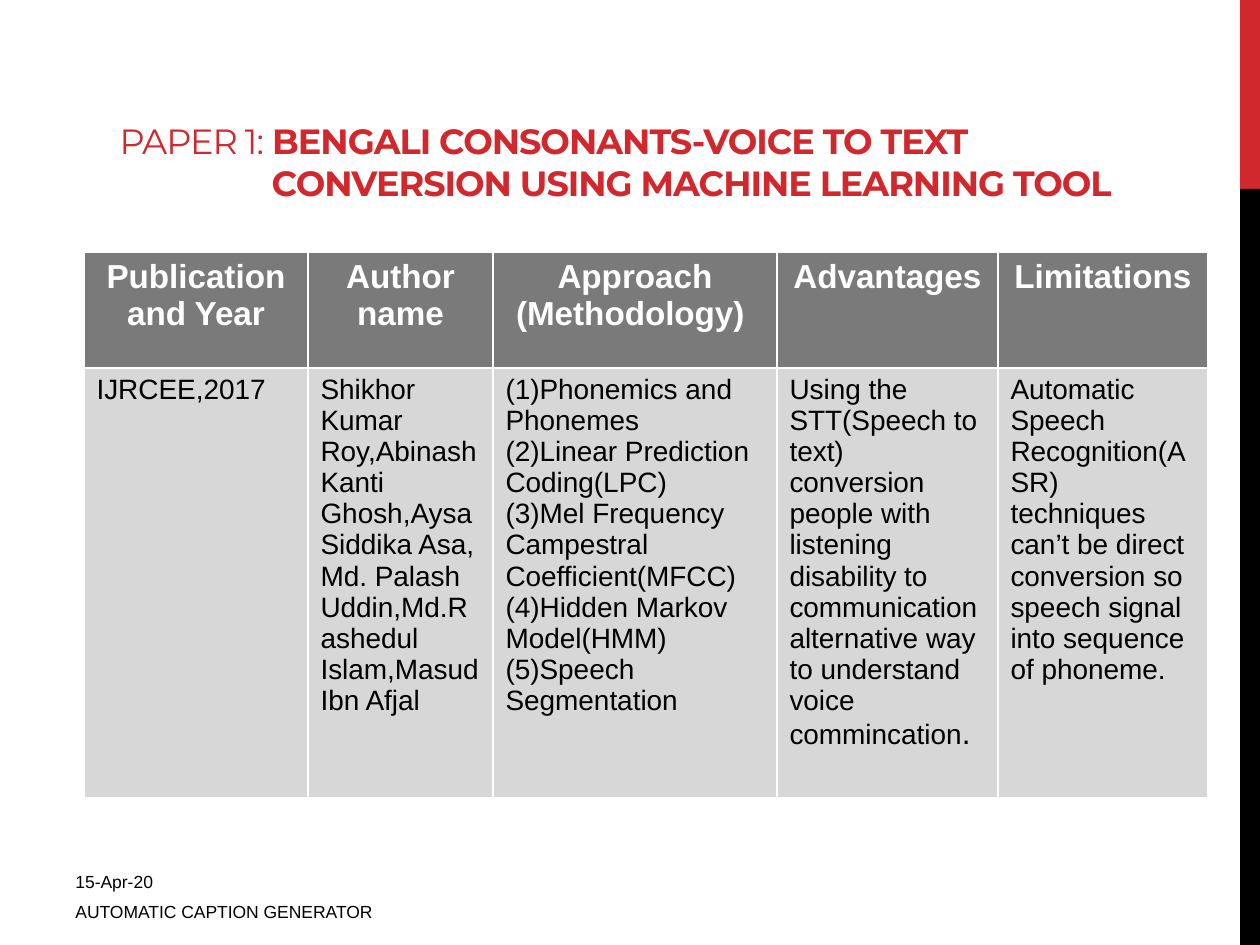
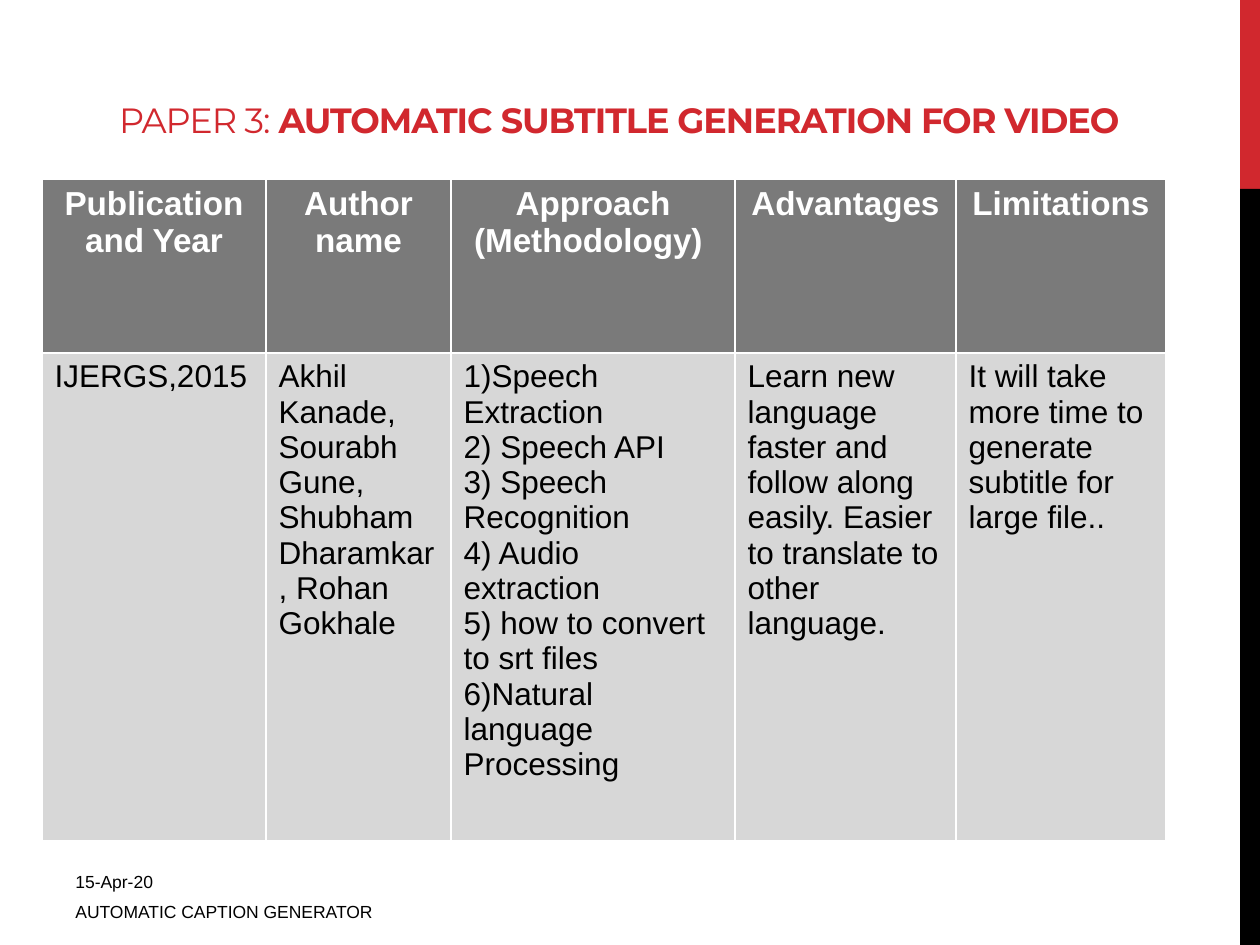
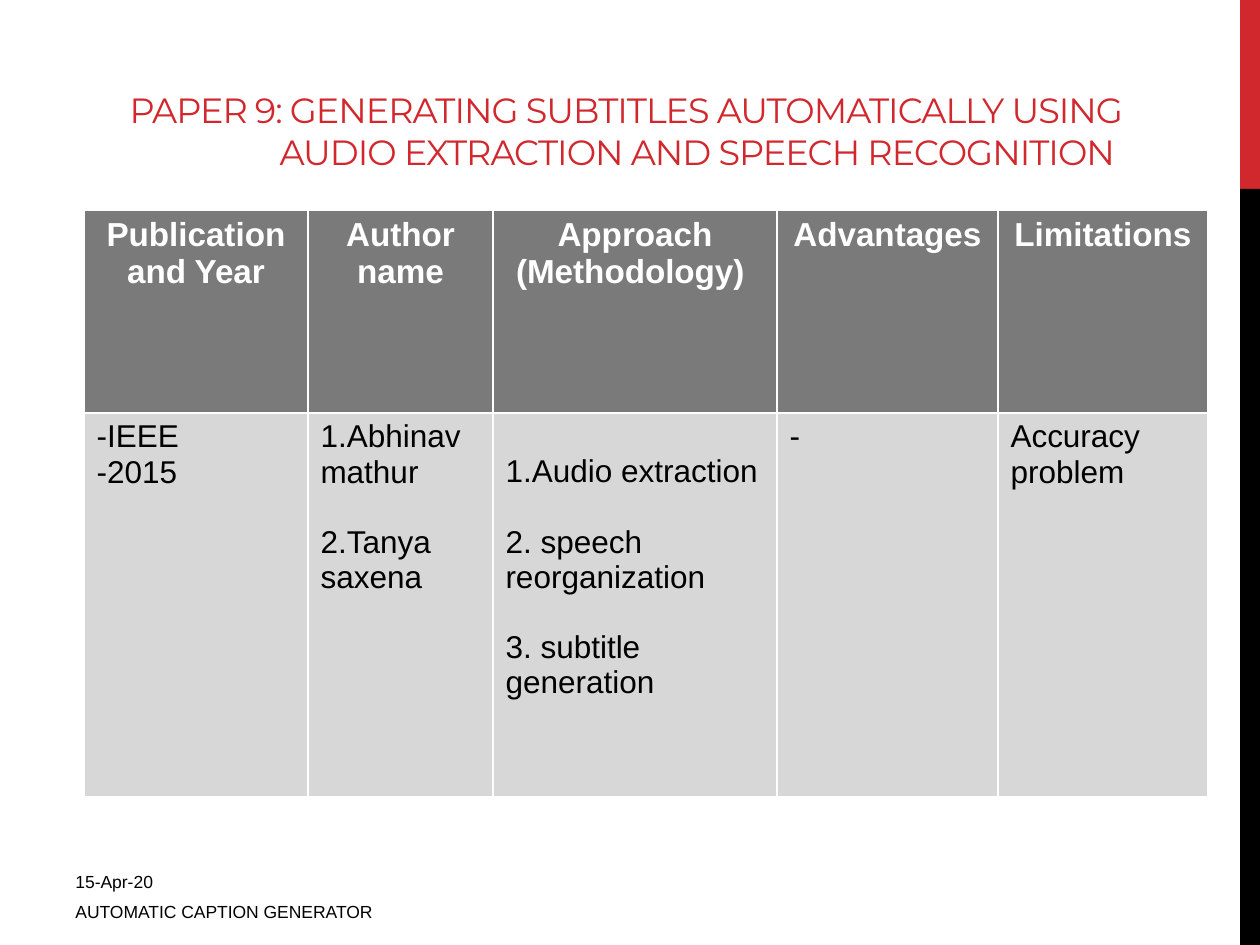
from dataclasses import dataclass

from pptx import Presentation
from pptx.dml.color import RGBColor
from pptx.enum.shapes import MSO_SHAPE
from pptx.enum.text import MSO_ANCHOR, MSO_AUTO_SIZE, PP_ALIGN
from pptx.util import Emu, Pt

RECTANGLE = MSO_SHAPE.RECTANGLE
TOP, BOTTOM = MSO_ANCHOR.TOP, MSO_ANCHOR.BOTTOM
LEFT, CENTER = PP_ALIGN.LEFT, PP_ALIGN.CENTER
NO_AUTOFIT = MSO_AUTO_SIZE.NONE
PX_PER_INCH = 126
TITLE_ONLY = 5


@dataclass(frozen=True)
class Theme:
    red: RGBColor = RGBColor.from_string("D1282E")
    black: RGBColor = RGBColor.from_string("000000")
    white: RGBColor = RGBColor.from_string("FFFFFF")
    header_fill: RGBColor = RGBColor.from_string("7A7A7A")
    body_fill: RGBColor = RGBColor.from_string("D7D7D7")
    title_font: str = "Montserrat"
    text_font: str = "Arial"
    title_size: int = 20
    title_spacing: int = -60
    header_size: int = 19
    footer_size: int = 10


THEME = Theme()
HEADINGS = ["Publication and Year", "Author name", "Approach (Methodology) ",
            "Advantages", "Limitations"]
COLUMN_WIDTHS = [224, 185, 284, 221, 210]
TABLE_WIDTH = sum(COLUMN_WIDTHS)


@dataclass(frozen=True)
class Paper:
    title_height: int
    title_lines: list
    table_corner: tuple
    row_heights: tuple
    body_size: int
    cells: list
    title_align: PP_ALIGN = LEFT
    gap: int = 0
    approach_drop: int = 0


PAPERS = [
    Paper(
        title_height=189,
        title_lines=[
            (97, [("PAPER 1: ", False), ("BENGALI CONSONANTS-VOICE TO TEXT", True)]),
            (249, [("CONVERSION USING MACHINE LEARNING TOOL", True)]),
        ],
        table_corner=(84, 252),
        row_heights=(116, 430),
        body_size=16,
        cells=[
            ["IJRCEE,2017"],
            ["Shikhor Kumar Roy,Abinash Kanti Ghosh,Aysa Siddika Asa, "
             "Md. Palash Uddin,Md.Rashedul Islam,Masud Ibn Afjal"],
            ["(1)Phonemics and Phonemes",
             "(2)Linear Prediction Coding(LPC)",
             "(3)Mel Frequency Campestral Coefficient(MFCC)",
             "(4)Hidden Markov Model(HMM)",
             "(5)Speech Segmentation"],
            [[("Using the STT(Speech to text) conversion people with listening "
               "disability to communication alternative way to understand "
               "voice commincation", 16), (".", 18)]],
            ["Automatic Speech Recognition(ASR) techniques can’t be direct "
             "conversion so speech signal into sequence of phoneme."],
        ],
    ),
    Paper(
        title_height=126,
        title_lines=[
            (0, [("PAPER 3: ", False), ("AUTOMATIC SUBTITLE GENERATION FOR VIDEO", True)]),
        ],
        title_align=CENTER,
        table_corner=(42, 179),
        row_heights=(174, 488),
        body_size=18,
        cells=[
            ["IJERGS,2015"],
            ["Akhil Kanade, Sourabh Gune, Shubham Dharamkar, Rohan Gokhale"],
            ["1)Speech Extraction", "2) Speech API", "3) Speech Recognition",
             "4) Audio extraction", "5) how to convert to srt files",
             "6)Natural language Processing"],
            ["Learn new language faster and follow along easily. "
             "Easier to translate to other language."],
            ["It will take more time to generate subtitle for large file.."],
        ],
    ),
    Paper(
        title_height=158,
        title_lines=[
            (107, [("PAPER 9: GENERATING SUBTITLES AUTOMATICALLY USING", False)]),
            (257, [("AUDIO EXTRACTION AND SPEECH RECOGNITION", False)]),
        ],
        table_corner=(84, 210),
        row_heights=(203, 384),
        body_size=18,
        gap=20,
        approach_drop=35,
        cells=[
            ["-IEEE", "-2015"],
            ["1.Abhinav mathur", "2.Tanya saxena"],
            ["1.Audio extraction", "2. speech reorganization", "3. subtitle generation"],
            ["-"],
            ["Accuracy problem"],
        ],
    ),
]


def px(length):
    return Emu(round(length * 914400 / PX_PER_INCH))


def set_all(target, **values):
    for name, value in values.items():
        setattr(target, name, value)


def add_span(para, text, size, color, font=THEME.text_font, bold=False):
    span = para.add_run()
    span.text = text
    set_all(span.font, name=font, size=Pt(size), bold=bold)
    span.font.color.rgb = color
    return span


def next_para(frame, index):
    return frame.add_paragraph() if index else frame.paragraphs[0]


def add_bands(page, layout, box):
    left, top, width, height = box
    red_height = height // 5
    bands = [(top, red_height, THEME.red),
             (top + red_height, height - red_height, THEME.black)]
    for band_top, band_height, color in bands:
        band = page.shapes.add_shape(RECTANGLE, px(left), px(band_top),
                                     px(width), px(band_height))
        band.shadow.inherit = False
        band.fill.solid()
        band.fill.fore_color.rgb = color
        band.line.fill.background()
        layout.shapes.element.append(band.element)


def add_title(page, paper, box):
    title = page.shapes.title
    left, top, width, height = map(px, box)
    set_all(title, left=left, top=top, width=width, height=height)
    frame = title.text_frame
    set_all(frame, word_wrap=True, auto_size=NO_AUTOFIT, vertical_anchor=BOTTOM)
    for index, (indent, spans) in enumerate(paper.title_lines):
        para = next_para(frame, index)
        para.alignment = paper.title_align
        properties = para._p.get_or_add_pPr()
        properties.set("marL", str(px(indent)))
        properties.set("indent", "0")
        for text, bold in spans:
            span = add_span(para, text, THEME.title_size, THEME.red,
                            THEME.title_font, bold)
            span._r.get_or_add_rPr().set("spc", str(THEME.title_spacing))


def fill_cell(cell, color):
    cell.fill.solid()
    cell.fill.fore_color.rgb = color


def add_paper_table(page, paper, box):
    frame = page.shapes.add_table(2, len(HEADINGS), *map(px, box))
    table = frame.table
    table.horz_banding = False
    for row, height in zip(table.rows, paper.row_heights):
        row.height = px(height)
    for column, width in zip(table.columns, COLUMN_WIDTHS):
        column.width = px(width)
    for index, (heading, paragraphs) in enumerate(zip(HEADINGS, paper.cells)):
        header, body = table.cell(0, index), table.cell(1, index)
        fill_cell(header, THEME.header_fill)
        fill_cell(body, THEME.body_fill)
        para = header.text_frame.paragraphs[0]
        para.alignment = CENTER
        add_span(para, heading, THEME.header_size, THEME.white, bold=True)
        if HEADINGS[index].startswith("Approach"):
            body.margin_top += px(paper.approach_drop)
        for number, content in enumerate(paragraphs):
            para = next_para(body.text_frame, number)
            if number and paper.gap and len(paragraphs[0]) > len("-IEEE"):
                para.space_before = Pt(paper.gap)
            spans = [(content, paper.body_size)] if isinstance(content, str) else content
            for text, size in spans:
                add_span(para, text, size, THEME.black)


def add_footer(page, box):
    left, top, width, height = box
    lines = [("15-Apr-20", top, 42, BOTTOM, 0),
             ("AUTOMATIC CAPTION GENERATOR", top + height - 39, 39, TOP, 6)]
    for text, line_top, line_height, anchor, inset in lines:
        label = page.shapes.add_textbox(px(left), px(line_top), px(width), px(line_height))
        set_all(label.text_frame, word_wrap=True, vertical_anchor=anchor,
                margin_bottom=px(inset))
        add_span(label.text_frame.paragraphs[0], text, THEME.footer_size, THEME.black)


def add_paper_page(deck, layout, paper):
    page = deck.slides.add_slide(layout)
    add_title(page, paper, (10, 21, 1218, paper.title_height))
    add_paper_table(page, paper, (*paper.table_corner, TABLE_WIDTH, sum(paper.row_heights)))
    add_footer(page, (63, 850, 472, 84))
    return page


def main():
    deck = Presentation()
    set_all(deck, slide_width=px(1260), slide_height=px(945))
    layout = deck.slide_layouts[TITLE_ONLY]
    pages = [add_paper_page(deck, layout, paper) for paper in PAPERS]
    add_bands(pages[0], layout, (1240, 0, 20, 945))
    deck.save("out.pptx")


if __name__ == "__main__":
    main()
